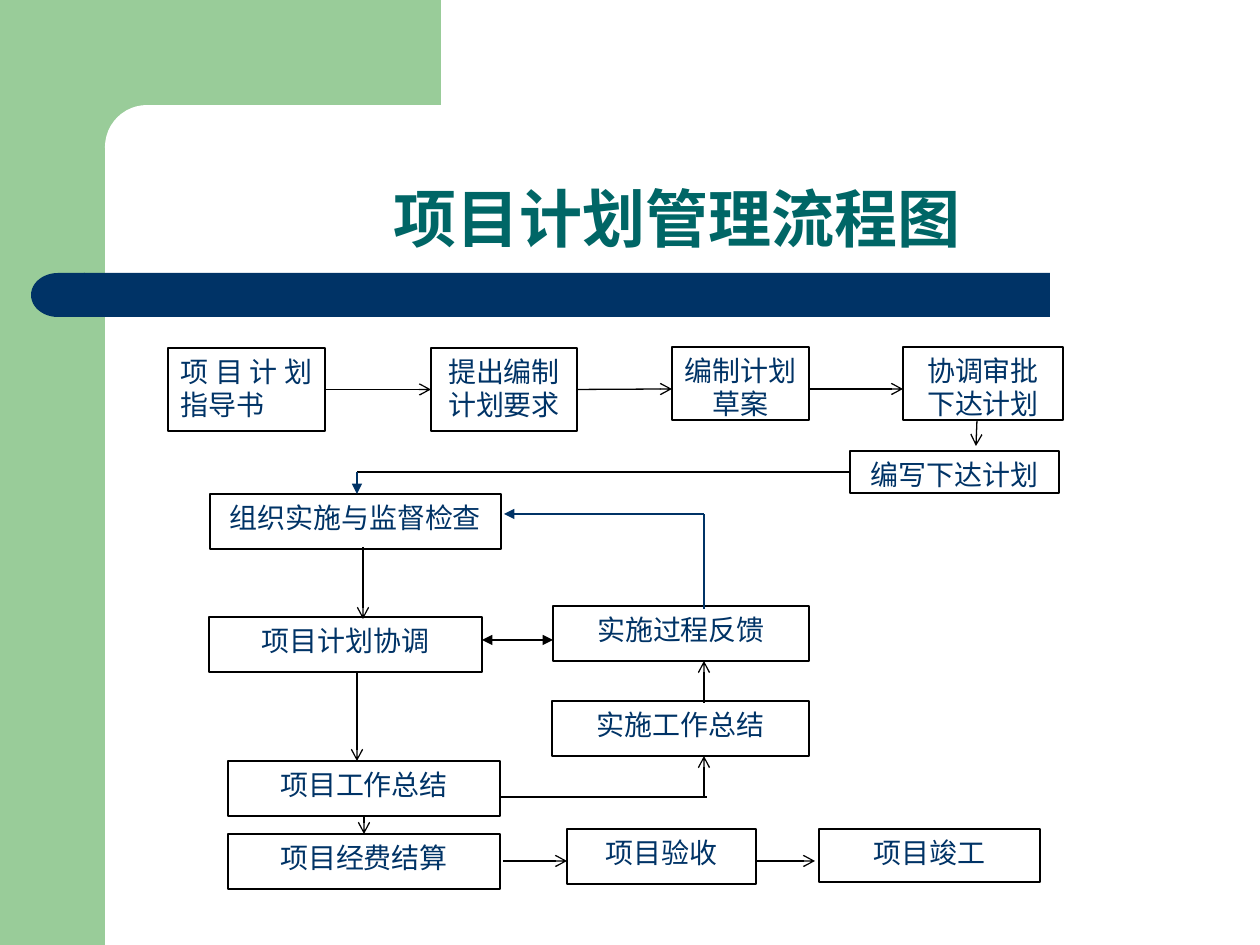
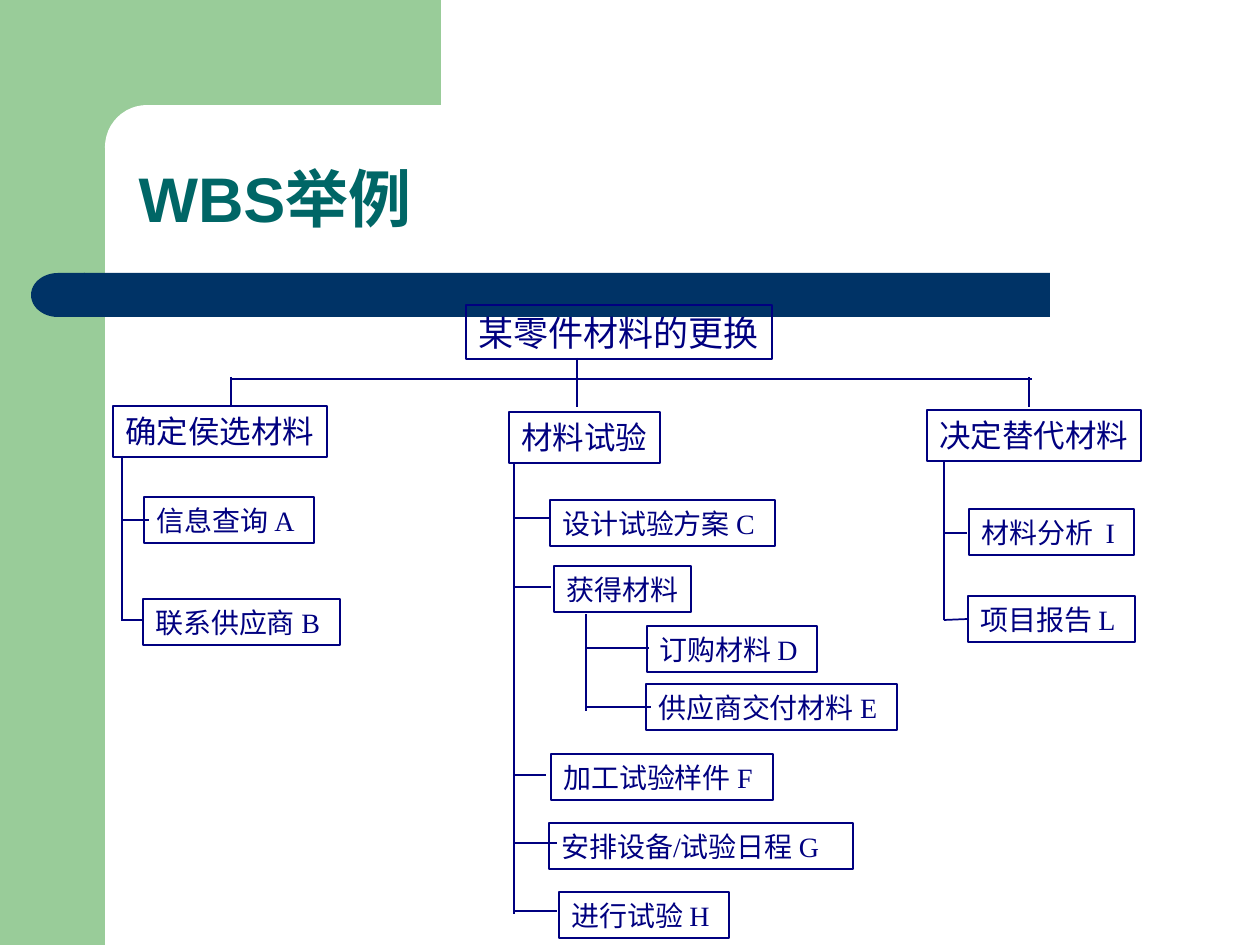
from dataclasses import dataclass

from lxml.etree import SubElement
from pptx import Presentation
from pptx.dml.color import RGBColor
from pptx.enum.shapes import MSO_CONNECTOR, MSO_SHAPE
from pptx.enum.text import MSO_ANCHOR, MSO_AUTO_SIZE, PP_ALIGN
from pptx.oxml.ns import qn
from pptx.util import Pt

SCALE = 914400 / 126


@dataclass(frozen=True)
class Theme:
    green: str = "99CC99"
    white: str = "FFFFFF"
    black: str = "000000"
    navy: str = "003366"
    teal: str = "006666"
    blue: str = "000080"
    title_font: str = "Arial"
    body_font: str = "Times New Roman"
    title: int = 36
    root: int = 20
    branch: int = 18
    item: int = 16
    flow_line: float = 0.75
    tree_line: float = 1


T = Theme()

BACKDROP = [
    (MSO_SHAPE.RECTANGLE, (0, 0, 105, 945), T.green),
    (MSO_SHAPE.RECTANGLE, (95, 0, 346, 147), T.green),
    (MSO_SHAPE.ROUNDED_RECTANGLE, (105, 105, 703, 84), T.white),
    (MSO_SHAPE.RECTANGLE, (84, 273, 966, 44), T.navy),
    (MSO_SHAPE.FLOWCHART_DELAY, (31, 273, 54, 44), T.navy),
]

FLOW_TITLE = "项目计划管理流程图"
FLOW_BOXES = [
    ("项目计划指导书", (168, 348, 157, 83)),
    ("提出编制计划要求", (431, 348, 146, 83)),
    ("编制计划草案", (672, 347, 137, 73)),
    ("协调审批下达计划", (903, 347, 160, 73)),
    ("编写下达计划", (850, 451, 209, 42)),
    ("组织实施与监督检查", (210, 494, 291, 55)),
    ("项目计划协调", (209, 617, 273, 55)),
    ("实施过程反馈", (553, 606, 256, 55)),
    ("实施工作总结", (552, 701, 257, 55)),
    ("项目工作总结", (228, 761, 272, 55)),
    ("项目经费结算", (228, 834, 272, 55)),
    ("项目验收", (567, 829, 189, 55)),
    ("项目竣工", (819, 829, 221, 53)),
]
FLOW_LINKS = [
    ((325, 389, 431, 389), T.black, None, "arrow"),
    ((577, 389, 672, 389), T.black, None, "arrow"),
    ((809, 389, 903, 389), T.black, None, "arrow"),
    ((977, 420, 976, 446), T.black, None, "arrow"),
    ((850, 472, 357, 472), T.black, None, None),
    ((357, 472, 357, 494), T.navy, None, "triangle"),
    ((363, 547, 363, 619), T.black, None, "arrow"),
    ((357, 672, 357, 761), T.black, None, "arrow"),
    ((364, 816, 364, 834), T.black, None, "arrow"),
    ((553, 640, 482, 640), T.black, "triangle", "triangle"),
    ((500, 797, 707, 797), T.black, None, None),
    ((704, 797, 704, 756), T.black, None, "arrow"),
    ((704, 703, 704, 661), T.black, None, "arrow"),
    ((704, 609, 704, 514), T.navy, None, None),
    ((704, 514, 504, 514), T.navy, None, "triangle"),
    ((503, 861, 567, 861), T.black, None, "arrow"),
    ((756, 861, 815, 861), T.black, None, "arrow"),
]

WBS_TITLE = "WBS举例"
WBS_BOXES = [
    ("某零件材料的更换", (466, 305, 306, 54), T.root),
    ("确定侯选材料", (113, 406, 214, 51), T.branch),
    ("信息查询 A", (144, 497, 170, 46), T.item),
    ("联系供应商 B", (143, 599, 197, 46), T.item),
    ("材料试验", (509, 412, 151, 51), T.branch),
    ("设计试验方案 C", (550, 500, 225, 46), T.item),
    ("获得材料", (554, 566, 137, 46), T.item),
    ("订购材料 D", (647, 626, 170, 46), T.item),
    ("供应商交付材料 E", (646, 684, 251, 46), T.item),
    ("加工试验样件 F", (551, 754, 222, 46), T.item),
    ("安排设备/试验日程 G", (549, 823, 304, 46), T.item),
    ("进行试验 H", (559, 892, 170, 46), T.item),
    ("决定替代材料", (927, 410, 214, 51), T.branch),
    ("材料分析  I", (969, 509, 165, 46), T.item),
    ("项目报告 L", (968, 596, 167, 46), T.item),
]
WBS_BAR = (232, 379, 1032, 379)
WBS_DROPS = [(231, 377, 407), (577, 358, 407), (1029, 377, 407)]
WBS_TRUNKS = [
    (122, 456, 621, [(520, 149), (620, 143)]),
    (514, 463, 914, [(518, 550), (587, 551), (775, 546), (843, 557), (911, 557)]),
    (586, 614, 711, [(648, 649), (707, 651)]),
    (944, 461, 620, [(533, 967), (620, 967)]),
]


def rgb(code):
    return RGBColor.from_string(code)


def px(*values):
    return [round(v * SCALE) for v in values]


def style(p, font, size, color, bold=False):
    p.font.name, p.font.size, p.font.bold = font, Pt(size), bold
    p.font.color.rgb = rgb(color)


def add_shape(slide, kind, at, fill=None, line=None, width=0):
    sp = slide.shapes.add_shape(kind, *px(*at))
    sp.shadow.inherit = False
    if fill:
        sp.fill.solid()
        sp.fill.fore_color.rgb = rgb(fill)
    else:
        sp.fill.background()
    if line:
        sp.line.color.rgb = rgb(line)
        sp.line.width = Pt(width)
    else:
        sp.line.fill.background()
    return sp


def add_box(slide, text, at, size, color, line, width, fill=None, align=PP_ALIGN.LEFT, wrap=True):
    sp = add_shape(slide, MSO_SHAPE.RECTANGLE, at, fill, line, width)
    tf = sp.text_frame
    tf.word_wrap = wrap
    tf.auto_size = MSO_AUTO_SIZE.NONE if wrap else MSO_AUTO_SIZE.SHAPE_TO_FIT_TEXT
    tf.vertical_anchor = MSO_ANCHOR.TOP
    p = tf.paragraphs[0]
    p.text, p.alignment = text, align
    style(p, T.body_font, size, color)
    return sp


def find_side(boxes, x, y):
    for sp, (left, top, w, h) in boxes:
        middles = [(left + w / 2, top), (left, top + h / 2),
                   (left + w / 2, top + h), (left + w, top + h / 2)]
        for side, (mx, my) in enumerate(middles):
            if abs(mx - x) <= 1 and abs(my - y) <= 1:
                return sp, side
    return None


def add_line(slide, boxes, ends, color, width, head=None, tail=None):
    cx = slide.shapes.add_connector(MSO_CONNECTOR.STRAIGHT, *px(*ends))
    cx.line.color.rgb = rgb(color)
    cx.line.width = Pt(width)
    ln = cx.line._get_or_add_ln()
    for tag, kind in (("a:headEnd", head), ("a:tailEnd", tail)):
        if kind:
            SubElement(ln, qn(tag), type=kind)
    SubElement(cx.element.spPr, qn("a:effectLst"))
    for join, point in ((cx.begin_connect, ends[:2]), (cx.end_connect, ends[2:])):
        found = find_side(boxes, *point)
        if found:
            join(*found)


def add_backdrop(slide, layout):
    for kind, at, fill in BACKDROP:
        sp = add_shape(slide, kind, at, fill)
        if kind == MSO_SHAPE.ROUNDED_RECTANGLE:
            sp.adjustments[0] = 0.5
        if kind == MSO_SHAPE.FLOWCHART_DELAY:
            sp.element.spPr.get_or_add_xfrm().set("flipH", "1")
        layout.shapes.element.append(sp.element)


def set_title(slide, text, at, align, anchor):
    sp = slide.shapes.title
    sp.left, sp.top, sp.width, sp.height = px(*at)
    tf = sp.text_frame
    tf.word_wrap = True
    tf.auto_size = MSO_AUTO_SIZE.NONE
    tf.vertical_anchor = anchor
    p = tf.paragraphs[0]
    p.text, p.alignment, p.line_spacing = text, align, 0.9
    style(p, T.title_font, T.title, T.teal, True)


def build_flow(slide):
    set_title(slide, FLOW_TITLE, (126, 105, 1102, 157), PP_ALIGN.CENTER, MSO_ANCHOR.BOTTOM)
    boxes = []
    for i, (text, at) in enumerate(FLOW_BOXES):
        align = PP_ALIGN.CENTER if i else PP_ALIGN.JUSTIFY
        sp = add_box(slide, text, at, T.item, T.navy, T.black, T.flow_line, T.white, align)
        boxes.append((sp, at))
    for ends, color, head, tail in FLOW_LINKS:
        add_line(slide, boxes, ends, color, T.flow_line, head, tail)


def build_wbs(slide):
    set_title(slide, WBS_TITLE, (126, 126, 1071, 152), PP_ALIGN.LEFT, MSO_ANCHOR.MIDDLE)
    boxes = [(add_box(slide, text, at, size, T.blue, T.blue, T.tree_line, wrap=False), at)
             for text, at, size in WBS_BOXES]
    lines = [WBS_BAR] + [(x, top, x, bottom) for x, top, bottom in WBS_DROPS]
    for x, top, bottom, twigs in WBS_TRUNKS:
        lines.append((x, top, x, bottom))
        lines += [(x, y, end, y) for y, end in twigs]
    for ends in lines:
        add_line(slide, boxes, ends, T.blue, T.tree_line)


def main():
    prs = Presentation()
    prs.slide_width, prs.slide_height = px(1260, 945)
    layout = prs.slide_layouts[5]
    flow, wbs = [prs.slides.add_slide(layout) for _ in range(2)]
    add_backdrop(flow, layout)
    build_flow(flow)
    build_wbs(wbs)
    prs.save("out.pptx")


if __name__ == "__main__":
    main()
